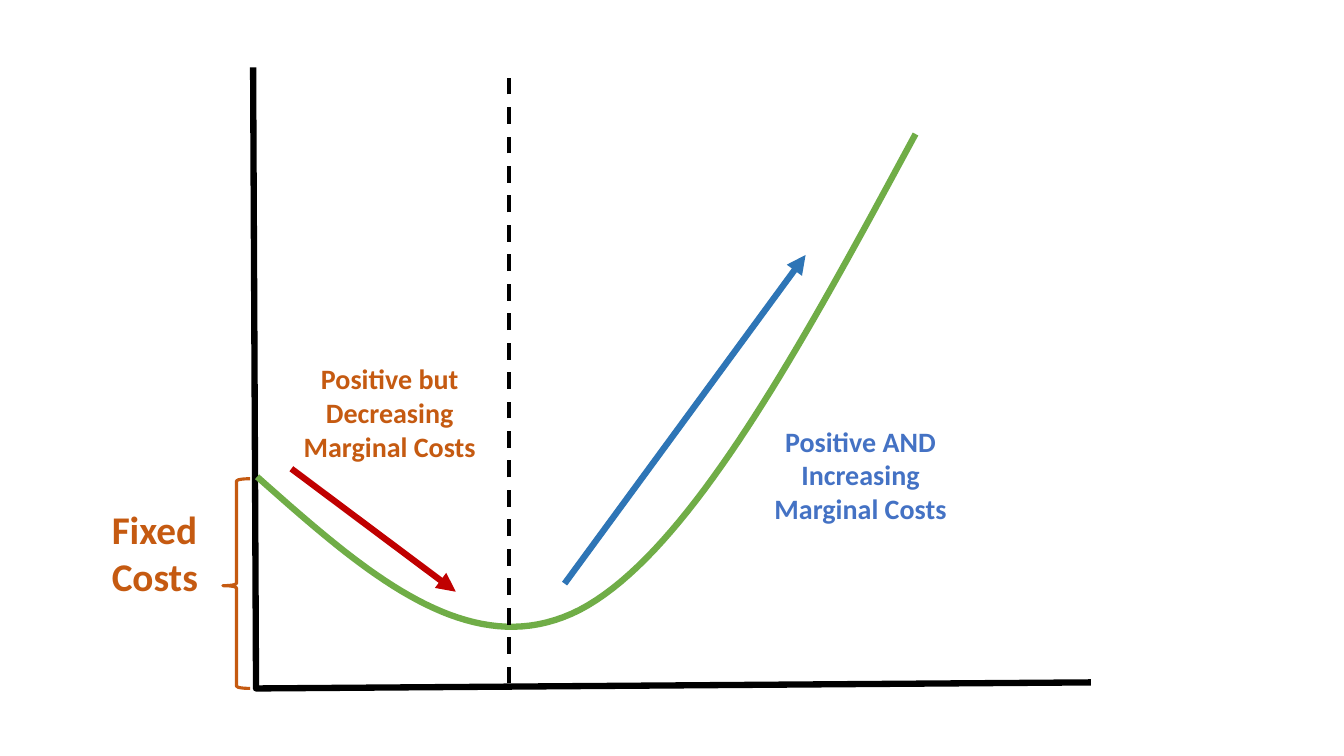
from lxml.etree import SubElement
from pptx import Presentation
from pptx.dml.color import RGBColor
from pptx.enum.dml import MSO_LINE
from pptx.enum.shapes import MSO_CONNECTOR, MSO_SHAPE
from pptx.enum.text import MSO_AUTO_SIZE, PP_ALIGN
from pptx.oxml.ns import qn
from pptx.util import Inches, Pt

BLACK, GREEN, RED = "000000", "70AD47", "C00000"
ORANGE, BLUE, STEEL = "C55A11", "4472C4", "2E75B6"


def color(value):
    return RGBColor.from_string(value)


def assign(target, values):
    for name, value in values.items():
        setattr(target, name, value)


def bezier(points, steps=40):
    start, first, second, end = points
    samples = []
    for step in range(1, steps + 1):
        t = step / steps
        weights = ((1 - t) ** 3, 3 * t * (1 - t) ** 2, 3 * t * t * (1 - t), t ** 3)
        samples.append(tuple(sum(weight * point[axis] for weight, point in zip(weights, points))
                             for axis in (0, 1)))
    return samples


class CostDiagram:
    font_name = "Calibri"
    heavy = 4.5

    def __init__(self, presentation):
        self.width = presentation.slide_width
        self.height = presentation.slide_height
        self.slide = presentation.slides.add_slide(presentation.slide_layouts[6])
        fill = self.slide.background.fill
        fill.solid()
        fill.fore_color.rgb = color("FFFFFF")

    def place(self, across, down):
        return round(self.width * across / 100), round(self.height * down / 100)

    def stroke(self, shape, line_color, weight):
        shape.line.color.rgb = color(line_color)
        shape.line.width = Pt(weight)

    def outline(self, shape, line_color, weight):
        shape.shadow.inherit = False
        shape.fill.background()
        self.stroke(shape, line_color, weight)

    def polyline(self, points, line_color):
        start, *others = [self.place(*point) for point in points]
        builder = self.slide.shapes.build_freeform(*start, scale=1.0)
        builder.add_line_segments(others, close=False)
        self.outline(builder.convert_to_shape(), line_color, self.heavy)

    def brace(self, position, size, line_color):
        shape = self.slide.shapes.add_shape(
            MSO_SHAPE.LEFT_BRACE, *self.place(*position), *self.place(*size))
        shape.adjustments[0] = 0.08
        shape.adjustments[1] = 0.51
        self.outline(shape, line_color, 2.25)

    def connector(self, start, end, line_color, weight):
        shape = self.slide.shapes.add_connector(
            MSO_CONNECTOR.STRAIGHT, *self.place(*start), *self.place(*end))
        self.stroke(shape, line_color, weight)
        properties = shape.element.find(qn("p:spPr"))
        SubElement(properties, qn("a:effectLst"))
        return shape

    def arrow(self, start, end, line_color):
        shape = self.connector(start, end, line_color, self.heavy)
        line = shape.element.find(qn("p:spPr")).find(qn("a:ln"))
        SubElement(line, qn("a:tailEnd"), type="triangle")

    def divider(self, start, end, line_color):
        shape = self.connector(start, end, line_color, 3)
        shape.line.dash_style = MSO_LINE.DASH

    def label(self, text, position, size, text_color, points, alignment=PP_ALIGN.CENTER):
        shape = self.slide.shapes.add_textbox(*self.place(*position), *self.place(*size))
        assign(shape.text_frame, {"word_wrap": True, "auto_size": MSO_AUTO_SIZE.SHAPE_TO_FIT_TEXT})
        paragraph = shape.text_frame.paragraphs[0]
        paragraph.alignment = alignment
        run = paragraph.add_run()
        run.text = text
        assign(run.font, {"name": self.font_name, "size": Pt(points), "bold": True})
        run.font.color.rgb = color(text_color)


def main():
    presentation = Presentation()
    assign(presentation, {"slide_width": Inches(13.33), "slide_height": Inches(7.5)})
    diagram = CostDiagram(presentation)

    diagram.polyline([(18.83, 8.93), (19.05, 91.07), (81.17, 90.27)], BLACK)

    curve_start, curve_middle, curve_end = (19.13, 63.07), (43.14, 80.67), (68.12, 17.73)
    falling = bezier([curve_start, (27.08, 75.6), (34.96, 88.13), curve_middle])
    rising = bezier([curve_middle, (51.31, 73.07), (59.71, 45.47), curve_end])
    diagram.polyline([curve_start, *falling, *rising], GREEN)

    diagram.brace((16.58, 63.33), (2.03, 27.73), ORANGE)
    diagram.label("Fixed Costs", (7.58, 66.13), (10.05, 13.87), ORANGE, 28, PP_ALIGN.LEFT)

    diagram.arrow((21.68, 62), (33.91, 78.27), RED)
    diagram.arrow((42.01, 77.2), (59.94, 33.73), STEEL)

    label_size = (14.63, 14.8)
    for text, position, text_color in (
        ("Positive but Decreasing Marginal Costs", (21.68, 47.2), ORANGE),
        ("Positive AND Increasing Marginal Costs", (56.71, 55.47), BLUE),
    ):
        diagram.label(text, position, label_size, text_color, 20)

    diagram.divider((37.88, 90.4), (37.88, 10.27), BLACK)
    presentation.save("out.pptx")


if __name__ == "__main__":
    main()
